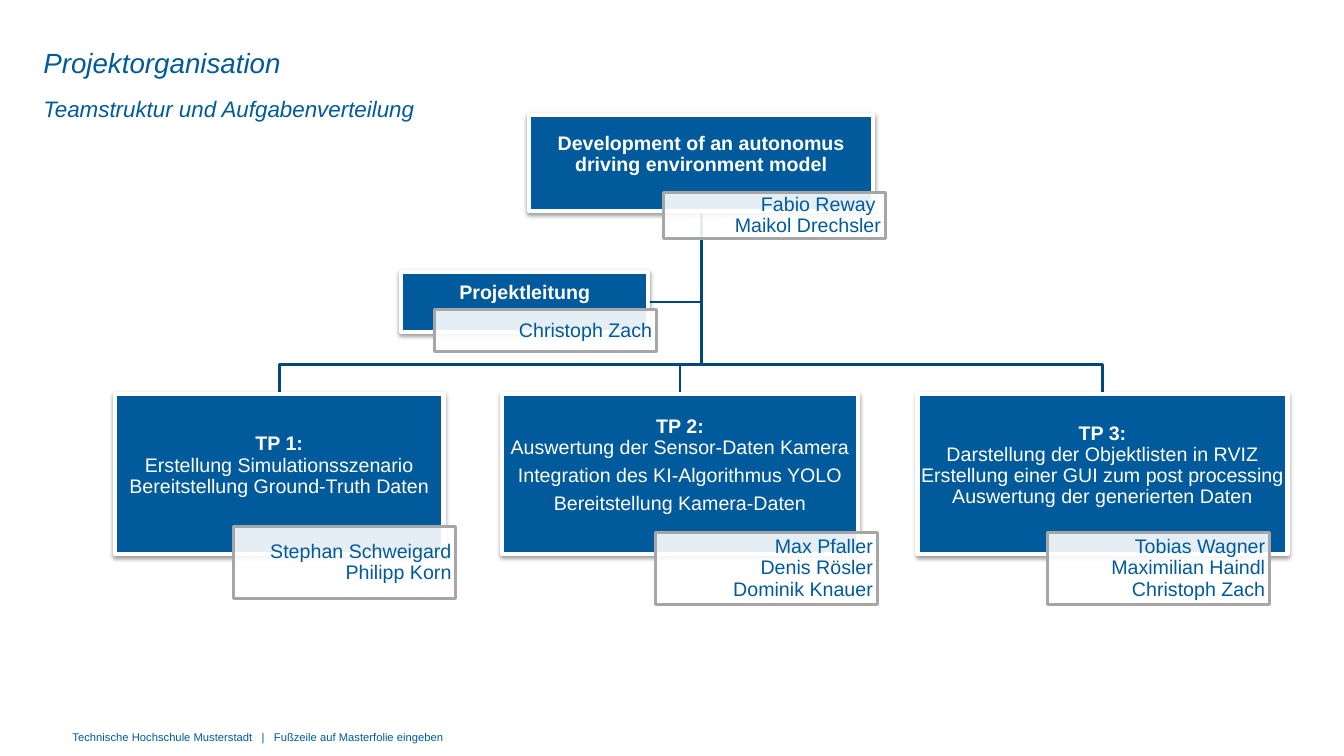
"""Builds the project organisation chart slide."""
from dataclasses import dataclass

import pptx
import pptx.dml.color
import pptx.enum.shapes
import pptx.enum.text
import pptx.oxml
import pptx.oxml.ns
import pptx.util
from pptx.util import Inches

BLUE, NAVY, GREY, WHITE = "005A9B", "00487C", "A6A6A6", "FFFFFF"
ALIGN = pptx.enum.text.PP_ALIGN
ANCHOR = pptx.enum.text.MSO_ANCHOR
NS = pptx.oxml.ns.nsdecls("a")
BUS_Y = 3.62


@dataclass
class Unit:
    """A blue box with the name tag that overlaps it."""
    at: tuple[float, float, float, float]
    paragraphs: list[str]
    tag_at: tuple[float, float, float, float]
    people: str

    @property
    def center(self) -> float:
        return self.at[0] + self.at[2] / 2


ROOT = Unit((5.25, 1.14, 3.41, 0.95), ["Development of an autonomus driving environment model"],
            (6.58, 1.91, 2.2, 0.46), "Fabio Reway \nMaikol Drechsler")
LEAD = Unit((3.98, 2.7, 2.45, 0.59), ["Projektleitung"],
            (4.31, 3.07, 2.2, 0.42), "Christoph Zach")
PACKAGES = [
    Unit((1.14, 3.91, 3.26, 1.59),
         ["TP 1:\nErstellung Simulationsszenario\nBereitstellung Ground-Truth Daten"],
         (2.32, 5.22, 2.2, 0.72), "Stephan Schweigard\nPhilipp Korn"),
    Unit((4.98, 3.91, 3.53, 1.59),
         ["TP 2:\nAuswertung der Sensor-Daten Kamera",
          "Integration des KI-Algorithmus YOLO", "Bereitstellung Kamera-Daten"],
         (6.5, 5.28, 2.2, 0.72), "Max Pfaller\nDenis Rösler\nDominik Knauer"),
    Unit((9.1, 3.91, 3.67, 1.59),
         ["TP 3:\nDarstellung der Objektlisten in RVIZ\n"
          "Erstellung einer GUI zum post processing\nAuswertung der generierten Daten"],
         (10.39, 5.28, 2.2, 0.72), "Tobias Wagner\nMaximilian Haindl\nChristoph Zach"),
]


def rgb(color: str) -> pptx.dml.color.RGBColor:
    return pptx.dml.color.RGBColor.from_string(color)


def write(sp, paragraphs: list[str], *, size: float = 14, color: str = BLUE,
          bold_first: bool = False, italic: bool = False, align=ALIGN.LEFT,
          anchor=ANCHOR.TOP, spacing: float = 1.0, after: float = 0,
          insets: tuple[float, float, float, float] = (0, 0, 0, 0)) -> None:
    tf = sp.text_frame
    tf.word_wrap = True
    tf.vertical_anchor = anchor
    tf.margin_left, tf.margin_top, tf.margin_right, tf.margin_bottom = map(Inches, insets)
    for i, paragraph in enumerate(paragraphs):
        p = tf.add_paragraph() if i else tf.paragraphs[0]
        p.alignment = align
        p.line_spacing = spacing
        p.space_after = pptx.util.Pt(after)
        for j, line in enumerate(paragraph.split("\n")):
            if j:
                p.add_line_break()
            r = p.add_run()
            r.text = line
            r.font.name = "Arial"
            r.font.size = pptx.util.Pt(size)
            r.font.color.rgb = rgb(color)
            r.font.bold = bold_first and i == j == 0
            r.font.italic = italic


def add_label(s, at: tuple[float, float, float, float], text: str, **fmt) -> None:
    write(s.shapes.add_textbox(*map(Inches, at)), [text], **fmt)


def add_rect(s, at: tuple[float, float, float, float], fill: str, line: str, width: float):
    sp = s.shapes.add_shape(pptx.enum.shapes.MSO_SHAPE.RECTANGLE, *map(Inches, at))
    sp.shadow.inherit = False
    sp.fill.solid()
    sp.fill.fore_color.rgb = rgb(fill)
    sp.line.color.rgb = rgb(line)
    sp.line.width = pptx.util.Pt(width)
    return sp


def add_unit(s, unit: Unit) -> None:
    sp = add_rect(s, unit.at, BLUE, WHITE, 3)
    effects = sp.element.spPr.find(pptx.oxml.ns.qn("a:effectLst"))
    effects.append(pptx.oxml.parse_xml(
        f'<a:outerShdw {NS} blurRad="39370" dist="20320" dir="5400000" rotWithShape="0">'
        '<a:srgbClr val="000000"><a:alpha val="38000"/></a:srgbClr></a:outerShdw>'))
    write(sp, unit.paragraphs, color=WHITE, bold_first=True, align=ALIGN.CENTER,
          anchor=ANCHOR.MIDDLE, spacing=0.9, after=4.9, insets=(0.01, 0.01, 0.01, 0.18))

    tag = add_rect(s, unit.tag_at, WHITE, GREY, 2)
    color = tag.element.spPr.find(pptx.oxml.ns.qn("a:solidFill"))[0]
    color.append(pptx.oxml.parse_xml(f'<a:alpha {NS} val="90000"/>'))
    write(tag, [unit.people], align=ALIGN.RIGHT, anchor=ANCHOR.MIDDLE, spacing=0.9,
          after=4.9, insets=(0.04, 0.01, 0.04, 0.01))


def add_branch(s, points: list[tuple[float, float]]) -> None:
    (x, y), *rest = [(Inches(px), Inches(py)) for px, py in points]
    fb = s.shapes.build_freeform(x, y)
    fb.add_line_segments(rest, close=False)
    sp = fb.convert_to_shape()
    sp.shadow.inherit = False
    sp.fill.background()
    sp.line.color.rgb = rgb(NAVY)
    sp.line.width = pptx.util.Pt(2)


def main() -> None:
    prs = pptx.Presentation()
    prs.slide_width, prs.slide_height = Inches(13.33), Inches(7.5)
    s = prs.slides.add_slide(prs.slide_layouts[6])

    add_label(s, (0.69, 7.25, 8.99, 0.27),
              " Technische Hochschule Musterstadt   |   Fußzeile auf Masterfolie eingeben", size=8)
    add_label(s, (0.43, 0.44, 10.67, 0.36), "Projektorganisation",
              size=19.8, italic=True, anchor=ANCHOR.MIDDLE)
    add_label(s, (0.43, 0.81, 10.67, 0.37), "Teamstruktur und Aufgabenverteilung",
              size=16, italic=True, spacing=1.5)

    x, y = ROOT.center, ROOT.at[1] + ROOT.at[3]
    lead_y = LEAD.at[1] + LEAD.at[3] / 2
    add_branch(s, [(x, y), (x, lead_y), (LEAD.at[0] + LEAD.at[2], lead_y)])
    for unit in PACKAGES:
        add_branch(s, [(x, y), (x, BUS_Y), (unit.center, BUS_Y), (unit.center, unit.at[1])])
    for unit in [ROOT, *PACKAGES, LEAD]:
        add_unit(s, unit)

    prs.save("out.pptx")


if __name__ == "__main__":
    main()
